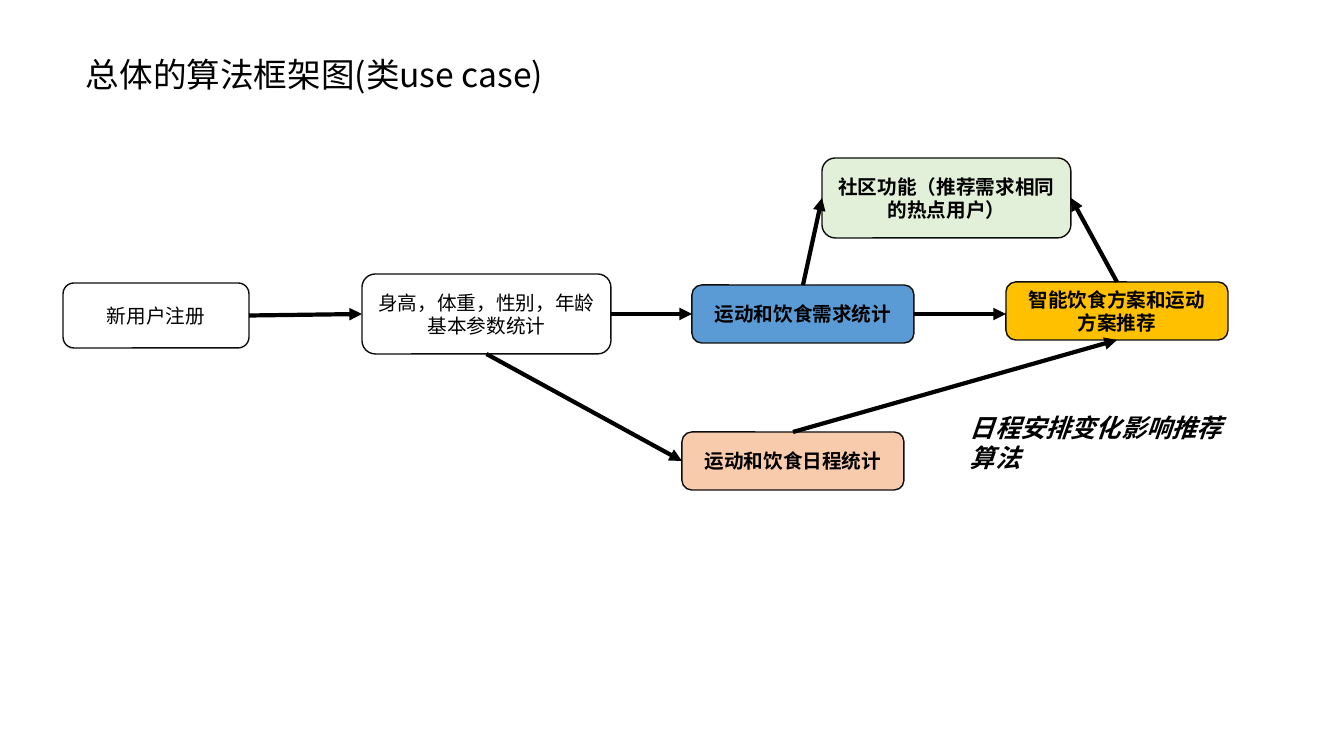
from pptx import Presentation
from pptx.dml.color import RGBColor
from pptx.enum.shapes import MSO_CONNECTOR, MSO_SHAPE
from pptx.enum.text import MSO_ANCHOR, MSO_AUTO_SIZE, PP_ALIGN
from pptx.oxml.ns import qn
from pptx.util import Emu, Pt
from lxml import etree

ROUNDED = MSO_SHAPE.ROUNDED_RECTANGLE
STRAIGHT = MSO_CONNECTOR.STRAIGHT
MIDDLE = MSO_ANCHOR.MIDDLE
GROW = MSO_AUTO_SIZE.SHAPE_TO_FIT_TEXT
LEFT, CENTER = PP_ALIGN.LEFT, PP_ALIGN.CENTER
TOP_SIDE, LEFT_SIDE, BOTTOM_SIDE, RIGHT_SIDE = range(4)
EMU_PER_PX = 914400 / 100.8
FONT = "Noto Sans CJK SC"
COLORS = {
    "text": "000000",
    "arrow": "000000",
    "outline": "0D0D0D",
    "white": "FFFFFF",
    "blue": "5B9BD5",
    "gold": "FFC000",
    "green": "E2F0D9",
    "peach": "F8CBAD",
}


def px(n):
    return Emu(round(n * EMU_PER_PX))


def color(name):
    return RGBColor.from_string(COLORS[name])


def write_text(tf, lines, size, align, bold=False, italic=False):
    tf.word_wrap = True
    for i, line in enumerate(lines):
        p = tf.add_paragraph() if i else tf.paragraphs[0]
        p.text = line
        p.alignment = align
        p.font.name = FONT
        p.font.size = Pt(size)
        p.font.bold = bold
        p.font.italic = italic
        p.font.color.rgb = color("text")
        props = p._p.pPr.find(qn("a:defRPr"))
        etree.SubElement(props, qn("a:ea"), typeface=FONT)
        latin = props.find(qn("a:latin"))
        latin.addnext(props.find(qn("a:ea")))


def add_box(s, x, y, w, h, fill, lines, bold=True):
    sp = s.shapes.add_shape(ROUNDED, px(x), px(y), px(w), px(h))
    sp.shadow.inherit = False
    sp.fill.solid()
    sp.fill.fore_color.rgb = color(fill)
    sp.line.color.rgb = color("outline")
    sp.line.width = Pt(1)
    sp.text_frame.vertical_anchor = MIDDLE
    write_text(sp.text_frame, lines, 14, CENTER, bold)
    return sp


def add_label(s, x, y, w, h, text, size, bold=False, italic=False):
    tf = s.shapes.add_textbox(px(x), px(y), px(w), px(h)).text_frame
    write_text(tf, [text], size, LEFT, bold, italic)
    tf.auto_size = GROW


def add_arrow(s, start, start_side, end, end_side):
    cx = s.shapes.add_connector(STRAIGHT, 0, 0, 0, 0)
    cx.begin_connect(start, start_side)
    cx.end_connect(end, end_side)
    cx.line.color.rgb = color("arrow")
    cx.line.width = Pt(3)
    etree.SubElement(cx.line._get_or_add_ln(), qn("a:tailEnd"), type="triangle")
    etree.SubElement(cx._element.spPr, qn("a:effectLst"))
    return cx


def main():
    prs = Presentation()
    prs.slide_width, prs.slide_height = px(1344), px(756)
    s = prs.slides.add_slide(prs.slide_layouts[6])

    add_label(s, 76, 49, 542, 50, "总体的算法框架图(类use case)", 24)

    register = add_box(s, 63, 283, 186, 65, "white", ["新用户注册"], False)
    params = add_box(s, 362, 274, 249, 80, "white",
                     ["身高，体重，性别，年龄", "基本参数统计"], False)
    demand = add_box(s, 692, 285, 222, 58, "blue", ["运动和饮食需求统计"])
    plan = add_box(s, 1006, 282, 222, 58, "gold", ["智能饮食方案和运动方案推荐"])
    community = add_box(s, 822, 158, 249, 80, "green",
                        ["社区功能（推荐需求相同的热点用户）"])
    schedule = add_box(s, 682, 432, 222, 58, "peach", ["运动和饮食日程统计"])

    add_arrow(s, register, RIGHT_SIDE, params, LEFT_SIDE)
    add_arrow(s, params, RIGHT_SIDE, demand, LEFT_SIDE)
    add_arrow(s, params, BOTTOM_SIDE, schedule, LEFT_SIDE)
    add_arrow(s, demand, TOP_SIDE, community, LEFT_SIDE)
    add_arrow(s, plan, TOP_SIDE, community, RIGHT_SIDE)
    add_arrow(s, schedule, TOP_SIDE, plan, BOTTOM_SIDE)
    level = add_arrow(s, demand, RIGHT_SIDE, plan, LEFT_SIDE)
    level.end_y = level.begin_y

    add_label(s, 960, 407, 280, 72, "日程安排变化影响推荐算法", 18, True, True)

    prs.save("out.pptx")


if __name__ == "__main__":
    main()
